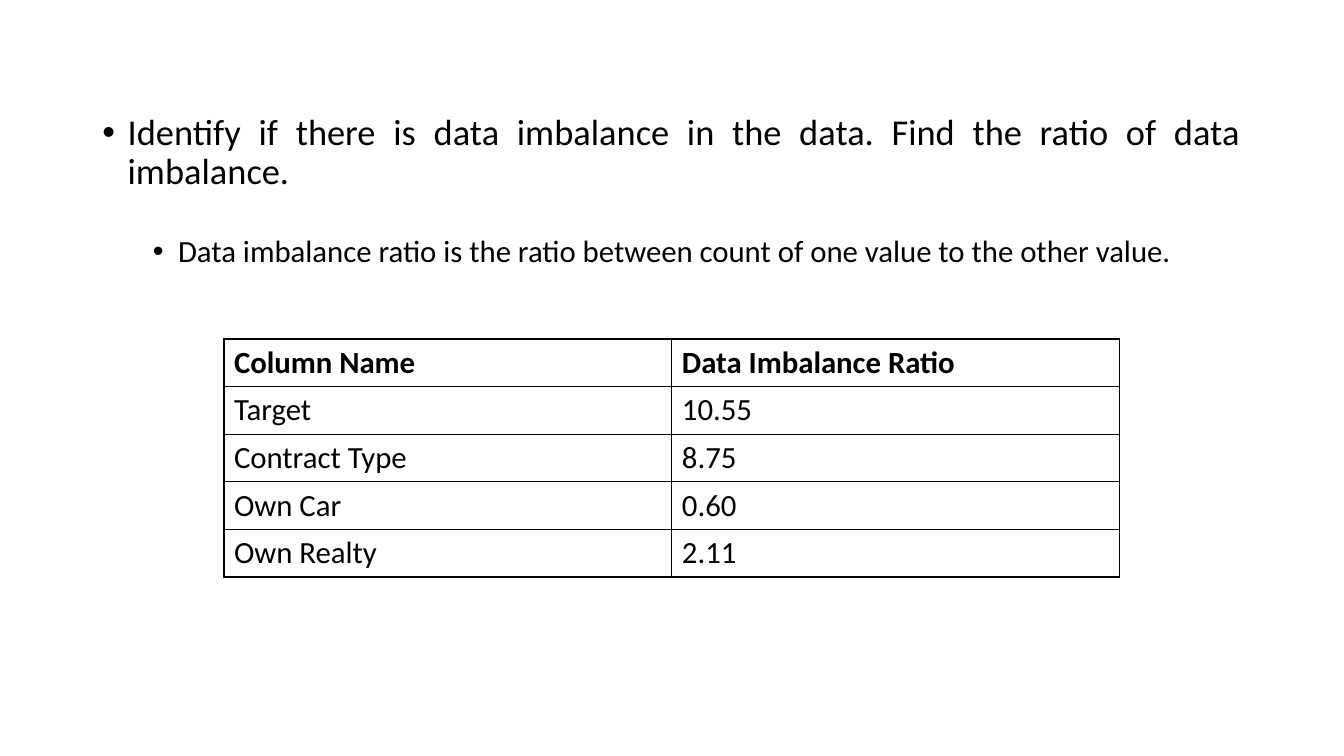
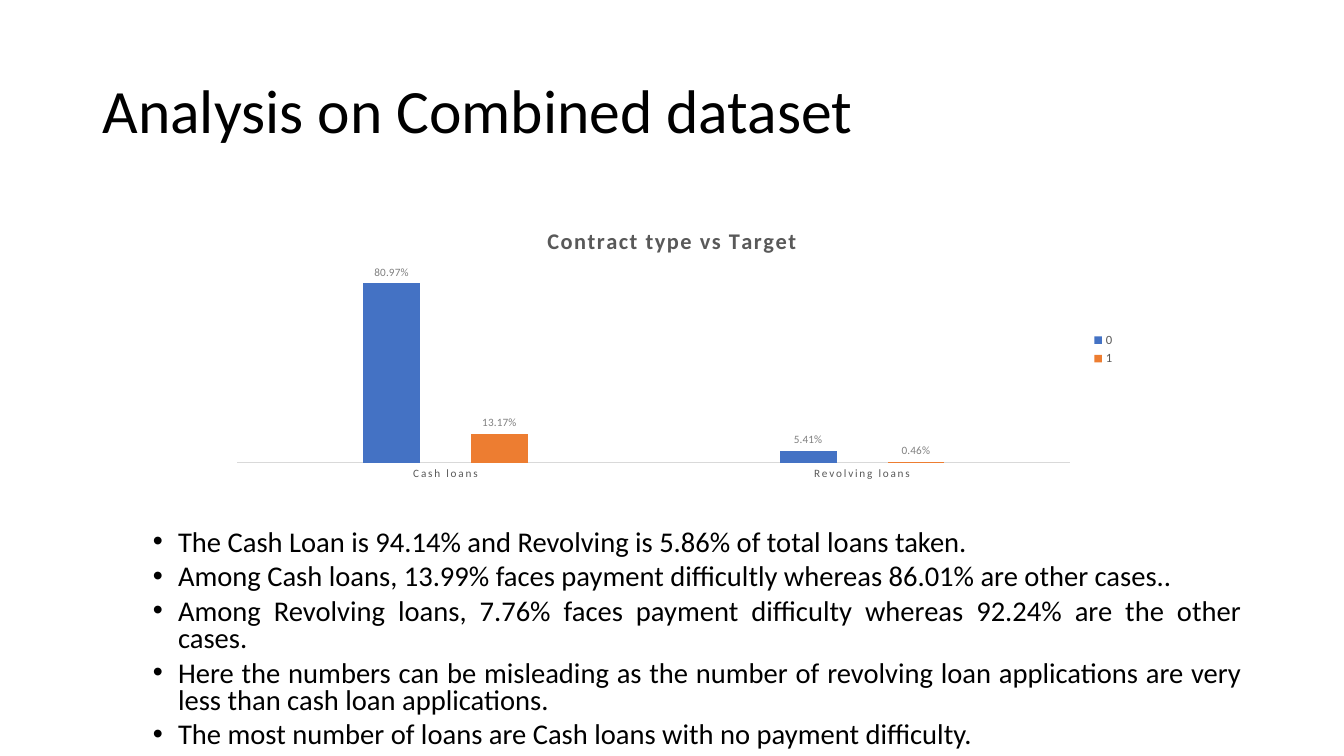
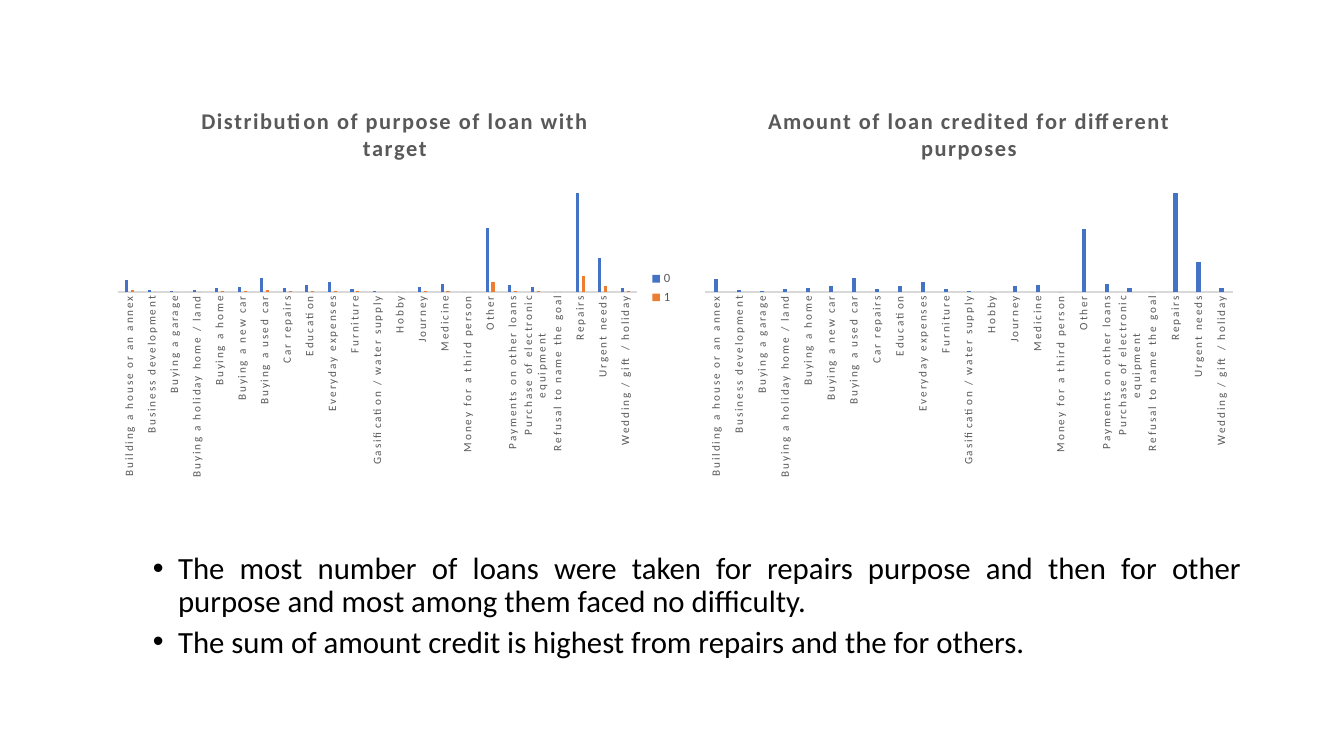
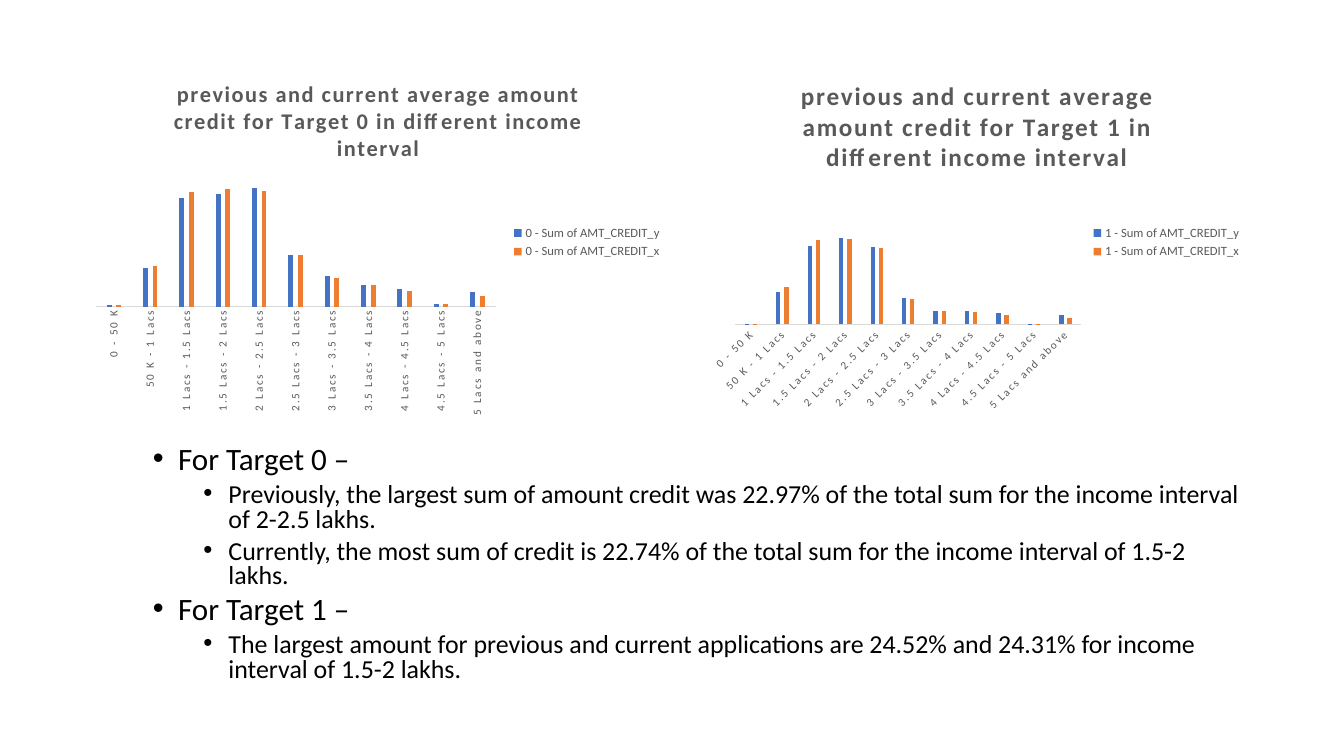
import pptx
import pptx.chart.data
import pptx.dml.color
import pptx.enum.chart
import pptx.enum.text
import pptx.oxml
import pptx.oxml.ns
import pptx.util
from lxml import etree

# Grid: 80 columns by 45 rows of square cells
CELL = pptx.util.Inches(1) // 6
COLUMNS, ROWS = 80, 45
LEFT, WIDTH = 5.5, 69

COLORS = {
    "text": "000000",
    "muted": "595959",
    "label": "808080",
    "axis": "D9D9D9",
    "first": "4472C4",
    "second": "ED7D31",
}
FONT = "Calibri"
PERCENT = "0.00%"
LETTER_SPACING = "120"
ALIGN = pptx.enum.text.PP_ALIGN


def cells(*lengths):
    """Turn grid lengths into EMU."""
    return [pptx.util.Emu(round(length * CELL)) for length in lengths]


def color(name):
    return pptx.dml.color.RGBColor.from_string(COLORS[name])


class Deck:
    """Holds the shared style and the slide being filled."""

    def __init__(self):
        self.presentation = pptx.Presentation()
        self.presentation.slide_width, self.presentation.slide_height = cells(COLUMNS, ROWS)
        self.slide = None

    def add_slide(self, title=None):
        self.slide = self.presentation.slides.add_slide(self.presentation.slide_layouts[1])
        heading = self.slide.shapes.title
        if title is None:
            heading.element.getparent().remove(heading.element)
            return
        self.place(heading, LEFT, 2.4, WIDTH, 8.7)
        frame = heading.text_frame
        frame.text = title
        frame.vertical_anchor = pptx.enum.text.MSO_ANCHOR.MIDDLE
        frame.auto_size = pptx.enum.text.MSO_AUTO_SIZE.NONE
        paragraph = frame.paragraphs[0]
        paragraph.alignment = ALIGN.LEFT
        paragraph.line_spacing = 0.9
        self.style(paragraph.runs[0].font, 44)

    def place(self, shape, *box):
        shape.left, shape.top, shape.width, shape.height = cells(*box)

    def style(self, font, size, shade="text", bold=False):
        font.name, font.size, font.bold = FONT, pptx.util.Pt(size), bold
        font.color.rgb = color(shade)

    def bullets(self, top, height, items, sizes, spacing=0.9, align=ALIGN.JUSTIFY, lead_gap=0):
        """Fill the body with (level, text) items; sizes are given by level."""
        body = self.slide.placeholders[1]
        self.place(body, LEFT, top, WIDTH, height)
        frame = body.text_frame
        frame.auto_size = pptx.enum.text.MSO_AUTO_SIZE.NONE
        for index, (level, text) in enumerate(items):
            paragraph = frame.add_paragraph() if index else frame.paragraphs[0]
            paragraph.text = text
            paragraph.level = level
            paragraph.alignment = align
            paragraph.line_spacing = spacing
            paragraph.space_before = pptx.util.Pt(5 if level else 10)
            paragraph.space_after = pptx.util.Pt(0 if level else lead_gap)
            self.style(paragraph.runs[0].font, sizes[level])
            properties = paragraph._p.get_or_add_pPr()
            properties.set("marL", str(pptx.util.Inches(0.25 + 0.5 * level)))
            properties.set("indent", str(-pptx.util.Inches(0.25)))
            for tag, key, value in (("a:buFont", "typeface", "Arial"), ("a:buChar", "char", "•")):
                etree.SubElement(properties, pptx.oxml.ns.qn(tag)).set(key, value)

    def table(self, box, rows, size):
        frame = self.slide.shapes.add_table(len(rows), len(rows[0]), *cells(*box))
        table = frame.table
        table.first_row = table.horz_banding = False
        for row_index, row in enumerate(rows):
            for column_index, text in enumerate(row):
                cell = table.cell(row_index, column_index)
                cell.text = text
                run = cell.text_frame.paragraphs[0].runs[0]
                self.style(run.font, size, bold=row_index == 0)
                self.borders(cell)
                cell.fill.background()

    def borders(self, cell):
        properties = cell._tc.get_or_add_tcPr()
        for side in ("L", "R", "T", "B"):
            properties.append(pptx.oxml.parse_xml(
                f'<a:ln{side} {pptx.oxml.ns.nsdecls("a")} w="12700"><a:solidFill>'
                f'<a:srgbClr val="{COLORS["text"]}"/></a:solidFill></a:ln{side}>'))

    def column_chart(self, box, title, categories, series, plot, top_value,
                     title_size=16, turn=0, legend=True, labels=False):
        """Draw clustered columns; plot gives the inner area as shares of the chart."""
        data = pptx.chart.data.CategoryChartData(number_format=PERCENT)
        data.categories = categories
        for name, values in series:
            data.add_series(name, values)
        chart = self.slide.shapes.add_chart(
            pptx.enum.chart.XL_CHART_TYPE.COLUMN_CLUSTERED, *cells(*box), data).chart
        self.style(chart.font, 10)

        # Title, one paragraph a line where the break is given
        chart.has_title = True
        chart.chart_title.include_in_layout = False
        chart.chart_title.text_frame.text = title
        for line in chart.chart_title.text_frame.paragraphs:
            run = line.runs[0]
            self.style(run.font, title_size, "muted", bold=True)
            run._r.get_or_add_rPr().set("spc", LETTER_SPACING)

        # Legend
        chart.has_legend = legend
        if legend:
            chart.legend.position = pptx.enum.chart.XL_LEGEND_POSITION.RIGHT
            chart.legend.include_in_layout = False
            self.style(chart.legend.font, 9, "muted")

        # Axes
        values_axis, names_axis = chart.value_axis, chart.category_axis
        values_axis.minimum_scale, values_axis.maximum_scale = 0, top_value
        values_axis.has_major_gridlines = False
        values_axis.visible = False
        names_axis.major_tick_mark = pptx.enum.chart.XL_TICK_MARK.NONE
        names_axis.format.line.color.rgb = color("axis")
        names_axis.format.line.width = pptx.util.Pt(0.75)
        self.style(names_axis.tick_labels.font, 8, "muted")
        names_text = chart.element.xpath(".//c:catAx/c:txPr")[0]
        names_text.find(pptx.oxml.ns.qn("a:bodyPr")).set("rot", str(turn * 60000))
        names_text.xpath(".//a:defRPr")[0].set("spc", LETTER_SPACING)

        # Columns
        columns = chart.plots[0]
        columns.gap_width, columns.overlap = 444, -90
        columns.vary_by_categories = False
        for one, shade in zip(columns.series, ("first", "second")):
            one.format.fill.solid()
            one.format.fill.fore_color.rgb = color(shade)
            one.invert_if_negative = False
        if labels:
            columns.has_data_labels = True
            columns.data_labels.show_value = True
            columns.data_labels.position = pptx.enum.chart.XL_LABEL_POSITION.OUTSIDE_END
            columns.data_labels.number_format = PERCENT
            columns.data_labels.number_format_is_linked = False
            self.style(columns.data_labels.font, 8, "label")
        self.plot_area(chart, plot)

    def plot_area(self, chart, shares):
        area = chart.element.xpath(".//c:plotArea")[0]
        for automatic in area.xpath("./c:layout"):
            area.remove(automatic)
        modes = '<c:layoutTarget val="inner"/><c:xMode val="edge"/><c:yMode val="edge"/>'
        sizes = "".join(f'<c:{key} val="{share}"/>' for key, share in zip("xywh", shares))
        area.insert(0, pptx.oxml.parse_xml(
            f'<c:layout {pptx.oxml.ns.nsdecls("c")}><c:manualLayout>'
            f'{modes}{sizes}</c:manualLayout></c:layout>'))


# The longest purpose takes two lines so that its label fits under the axis
PURPOSES = [
    "Building a house or an annex", "Business development", "Buying a garage",
    "Buying a holiday home / land", "Buying a home", "Buying a new car",
    "Buying a used car", "Car repairs", "Education", "Everyday expenses", "Furniture",
    "Gasification / water supply", "Hobby", "Journey", "Medicine",
    "Money for a third person", "Other", "Payments on other loans",
    "Purchase of electronic\nequipment", "Refusal to name the goal", "Repairs",
    "Urgent needs", "Wedding / gift / holiday",
]
INCOMES = [
    "0 - 50 K", "50 K - 1 Lacs", "1 Lacs - 1.5 Lacs", "1.5 Lacs - 2 Lacs",
    "2 Lacs - 2.5 Lacs", "2.5 Lacs - 3 Lacs", "3 Lacs - 3.5 Lacs", "3.5 Lacs - 4 Lacs",
    "4 Lacs - 4.5 Lacs", "4.5 Lacs - 5 Lacs", "5 Lacs and above",
]


def imbalance(deck):
    deck.add_slide()
    deck.bullets(6.5, 34.1, [
        (0, "Identify if there is data imbalance in the data. Find the ratio of data imbalance."),
        (1, "Data imbalance ratio is the ratio between count of one value to the other value."),
    ], {0: 26, 1: 22}, lead_gap=26)
    deck.table((13.33, 20.18, 53.33, 14.1), [
        ("Column Name", "Data Imbalance Ratio"),
        ("Target", "10.55"),
        ("Contract Type", "8.75"),
        ("Own Car", "0.60"),
        ("Own Realty", "2.11"),
    ], 22)


def contract_types(deck):
    deck.add_slide("Analysis on Combined dataset")
    deck.bullets(31.28, 11.9, [
        (1, "The Cash Loan is 94.14% and Revolving is 5.86% of total loans taken."),
        (1, "Among Cash loans, 13.99% faces payment difficultly whereas 86.01% are other cases.."),
        (1, "Among Revolving loans, 7.76% faces payment difficulty whereas 92.24% are the "
            "other cases."),
        (1, "Here the numbers can be misleading as the number of revolving loan applications "
            "are very less than cash loan applications."),
        (1, "The most number of loans are Cash loans with no payment difficulty."),
    ], {1: 20.4}, spacing=0.8)
    deck.column_chart(
        (13.05, 12.55, 53.9, 16.5), "Contract type vs Target", ["Cash loans", "Revolving loans"],
        [("0", (0.8097, 0.0541)), ("1", (0.1317, 0.0046))],
        plot=(0.02, 0.19, 0.92, 0.72), top_value=0.9, labels=True)


def loan_purposes(deck):
    deck.add_slide()
    deck.bullets(32.62, 7.9, [
        (1, "The most number of loans were taken for repairs purpose and then for other "
            "purpose and most among them faced no difficulty."),
        (1, "The sum of amount credit is highest from repairs and the for others."),
    ], {1: 22})
    deck.column_chart(
        (6.35, 5.35, 34.3, 23.6), "Distribution of purpose of loan with\ntarget", PURPOSES,
        [("0", (12, 2, 1, 2, 4, 5, 14, 4, 7, 10, 3, 1, 0, 5, 8, 0, 65, 7, 5, 0, 100, 34, 4)),
         ("1", (2, 0, 0, 0, 1, 1, 2, 1, 1, 1, 1, 0, 0, 1, 1, 0, 10, 1, 1, 0, 16, 6, 1))],
        plot=(0.02, 0.21, 0.9, 0.3), top_value=120, turn=-90)
    deck.column_chart(
        (41.3, 5.35, 32.75, 23.6), "Amount of loan credited for different\npurposes", PURPOSES,
        [("Series 1",
          (13, 2, 1, 3, 4, 6, 14, 3, 6, 10, 3, 1, 0, 6, 7, 0, 64, 8, 4, 0, 100, 30, 4))],
        plot=(0.02, 0.21, 0.96, 0.3), top_value=120, turn=-90, legend=False)


def income_intervals(deck):
    deck.add_slide()
    deck.bullets(26.28, 15.8, [
        (1, "For Target 0 –"),
        (2, "Previously, the largest sum of amount credit was 22.97% of the total sum for the "
            "income interval of 2-2.5 lakhs."),
        (2, "Currently, the most sum of credit is 22.74% of the total sum for the income "
            "interval of 1.5-2 lakhs."),
        (1, "For Target 1 –"),
        (2, "The largest amount for previous and current applications are 24.52% and 24.31% "
            "for income interval of 1.5-2 lakhs."),
    ], {1: 22.2, 2: 18.5}, spacing=0.8, align=ALIGN.LEFT)
    deck.column_chart(
        (5, 3.8, 35, 21.25),
        "previous and current average amount\ncredit for Target 0 in different income\ninterval",
        INCOMES,
        [("0 - Sum of AMT_CREDIT_y", (1, 32, 91, 95, 100, 43, 26, 18, 15, 2, 12)),
         ("0 - Sum of AMT_CREDIT_x", (1, 34, 96, 99, 97, 43, 24, 18, 13, 2, 9))],
        plot=(0.02, 0.28, 0.68, 0.4), top_value=120, turn=-90)
    deck.column_chart(
        (41.8, 3.8, 32.7, 21.25),
        "previous and current average\namount credit for Target 1 in\ndifferent income interval",
        INCOMES,
        [("1 - Sum of AMT_CREDIT_y", (1, 38, 91, 100, 90, 31, 16, 16, 13, 1, 11)),
         ("1 - Sum of AMT_CREDIT_x", (1, 43, 98, 99, 89, 29, 15, 14, 11, 1, 7))],
        plot=(0.06, 0.44, 0.63, 0.29), top_value=120, title_size=18, turn=-45)


def main():
    deck = Deck()
    for build in (imbalance, contract_types, loan_purposes, income_intervals):
        build(deck)
    deck.presentation.save("out.pptx")


if __name__ == "__main__":
    main()
